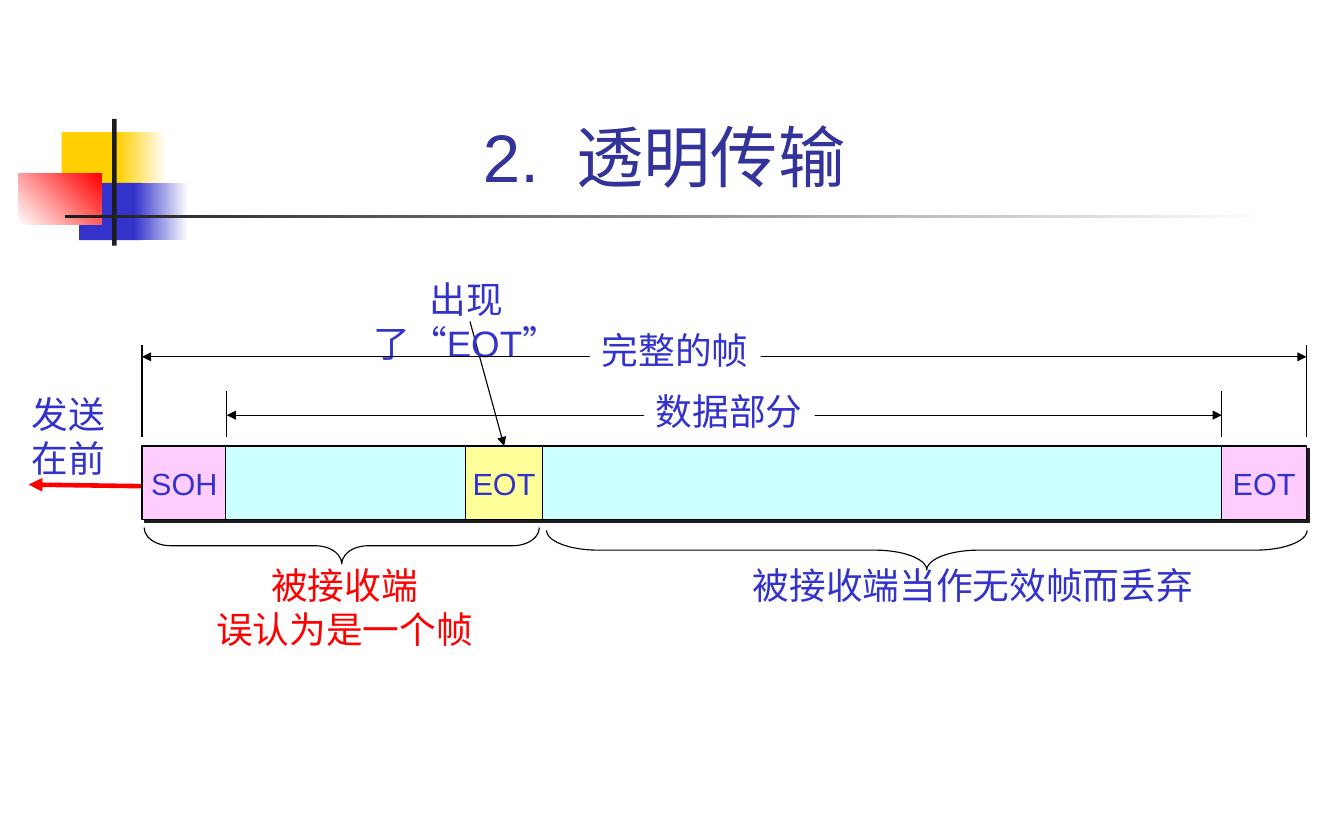
from lxml.etree import SubElement
from pptx import Presentation
from pptx.dml.color import RGBColor
from pptx.enum.shapes import MSO_CONNECTOR as Conn, MSO_SHAPE as Kind
from pptx.enum.text import MSO_ANCHOR as Anchor, PP_ALIGN as Align
from pptx.oxml.ns import qn
from pptx.util import Inches, Pt

BLACK = RGBColor(0x00, 0x00, 0x00)
WHITE = RGBColor(0xFF, 0xFF, 0xFF)
INK = RGBColor(0x1C, 0x1C, 0x1C)
BLUE = RGBColor(0x33, 0x33, 0xCC)
NAVY = RGBColor(0x33, 0x33, 0x99)
RED = RGBColor(0xFF, 0x00, 0x00)
GOLD = RGBColor(0xFF, 0xCF, 0x01)
PINK = RGBColor(0xFF, 0xCC, 0xFF)
CYAN = RGBColor(0xCC, 0xFF, 0xFF)
CREAM = RGBColor(0xFF, 0xFF, 0x99)

LEFT, RIGHT = 1.29, 11.87
DATA, TAIL = 2.06, 11.1
TOP, HIGH = 4.05, 0.67


def write(shape, text, size=24, color=BLUE, align=Align.CENTER,
          anchor=Anchor.TOP, wrap=False):
    frame = shape.text_frame
    frame.word_wrap = wrap
    frame.vertical_anchor = anchor
    frame.text = text
    for para in frame.paragraphs:
        para.alignment = align
        para.font.name = "Arial"
        para.font.size = Pt(size)
        para.font.color.rgb = color


def label(slide, box, text, fill=None, **style):
    shape = slide.shapes.add_textbox(*map(Inches, box))
    if fill is not None:
        shape.fill.solid()
        shape.fill.fore_color.rgb = fill
    write(shape, text, **style)


def block(slide, box, color, fade=None, angle=0):
    shape = slide.shapes.add_shape(Kind.RECTANGLE, *map(Inches, box))
    shape.shadow.inherit = False
    shape.line.fill.background()
    if fade is None:
        shape.fill.solid()
        shape.fill.fore_color.rgb = color
    else:
        shape.fill.gradient()
        shape.fill.gradient_angle = angle
        for stop, tone in zip(shape.fill.gradient_stops, (color, fade)):
            stop.color.rgb = tone
    return shape


def cast(shape):
    effects = shape.element.spPr.find(qn("a:effectLst"))
    shade = SubElement(effects, qn("a:outerShdw"), dist=str(Pt(2.8)),
                       dir="2700000", algn="ctr", rotWithShape="0")
    SubElement(shade, qn("a:srgbClr"), val=str(INK))


def cell(slide, left, width, color, text="", shadow=True):
    shape = block(slide, (left, TOP, width, HIGH), color)
    shape.line.color.rgb = BLACK
    shape.line.width = Pt(0.75)
    if shadow:
        cast(shape)
    if text:
        write(shape, text, size=20, anchor=Anchor.MIDDLE)


def line(slide, start, end, color=BLACK, width=0.75, heads=()):
    shape = slide.shapes.add_connector(
        Conn.STRAIGHT, *map(Inches, (*start, *end)))
    shape.line.color.rgb = color
    shape.line.width = Pt(width)
    props = shape.element.spPr
    for head in heads:
        SubElement(props.find(qn("a:ln")), qn(f"a:{head}"), type="triangle")
    SubElement(props, qn("a:effectLst"))


def brace(slide, box, bend):
    shape = slide.shapes.add_shape(Kind.LEFT_BRACE, *map(Inches, box))
    shape.rotation = 270
    shape.adjustments[0] = bend
    shape.adjustments[1] = 0.5
    shape.shadow.inherit = False
    shape.fill.background()
    shape.line.color.rgb = BLACK
    shape.line.width = Pt(0.75)


def span(slide, left, right, y, rise):
    line(slide, (left, y), (right, y), heads=("headEnd", "tailEnd"))
    for x in (left, right):
        line(slide, (x, rise), (x, 3.97))


def motif(slide):
    block(slide, (0.56, 1.2, 0.58, 0.52), GOLD)
    block(slide, (1.07, 1.2, 0.44, 0.52), GOLD, WHITE)
    block(slide, (0.72, 1.66, 0.56, 0.52), BLUE)
    block(slide, (1.22, 1.66, 0.49, 0.52), BLUE, WHITE)
    block(slide, (0.17, 1.58, 0.75, 0.46), WHITE, RED, 45)
    block(slide, (1.02, 1.08, 0.04, 1.15), INK)
    block(slide, (0.59, 1.95, 10.98, 0.03), INK, WHITE)


def main():
    deck = Presentation()
    deck.slide_width, deck.slide_height = Inches(12.21), Inches(7.5)
    slide = deck.slides.add_slide(deck.slide_layouts[6])

    motif(slide)
    label(slide, (1.54, 0.23, 8.99, 1.6), "2.  透明传输", size=44,
          color=NAVY, anchor=Anchor.BOTTOM, wrap=True)

    line(slide, (1.68, 4.42), (0.26, 4.4), RED, 3, ("tailEnd",))
    cell(slide, LEFT, 0.77, PINK, "SOH")
    cell(slide, 2.05, 9.28, CYAN)
    cell(slide, 4.23, 0.7, CREAM, "EOT", shadow=False)
    cell(slide, TAIL, 0.77, PINK, "EOT")

    line(slide, (4.27, 2.92), (4.58, TOP), heads=("tailEnd",))
    label(slide, (3.06, 2.46, 2.35, 0.5), "出现了“EOT”", wrap=True)

    brace(slide, (8.24, 1.54, 0.36, 6.91), 1.31)
    label(slide, (6.74, 5.06, 4.24, 0.5), "被接收端当作无效帧而丢弃",
          align=Align.JUSTIFY)
    brace(slide, (2.94, 3.16, 0.33, 3.59), 0.73)
    label(slide, (1.85, 5.06, 2.56, 0.91), "被接收端\n误认为是一个帧",
          color=RED)

    span(slide, DATA, TAIL, 3.77, 3.55)
    label(slide, (5.85, 3.48, 1.55, 0.5), "数据部分", fill=WHITE)
    span(slide, LEFT, RIGHT, 3.24, 3.13)
    label(slide, (5.36, 2.93, 1.55, 0.5), "完整的帧", fill=WHITE)
    label(slide, (0.19, 3.51, 0.88, 0.91), "发送\n在前", align=Align.LEFT)

    deck.save("out.pptx")


if __name__ == "__main__":
    main()
